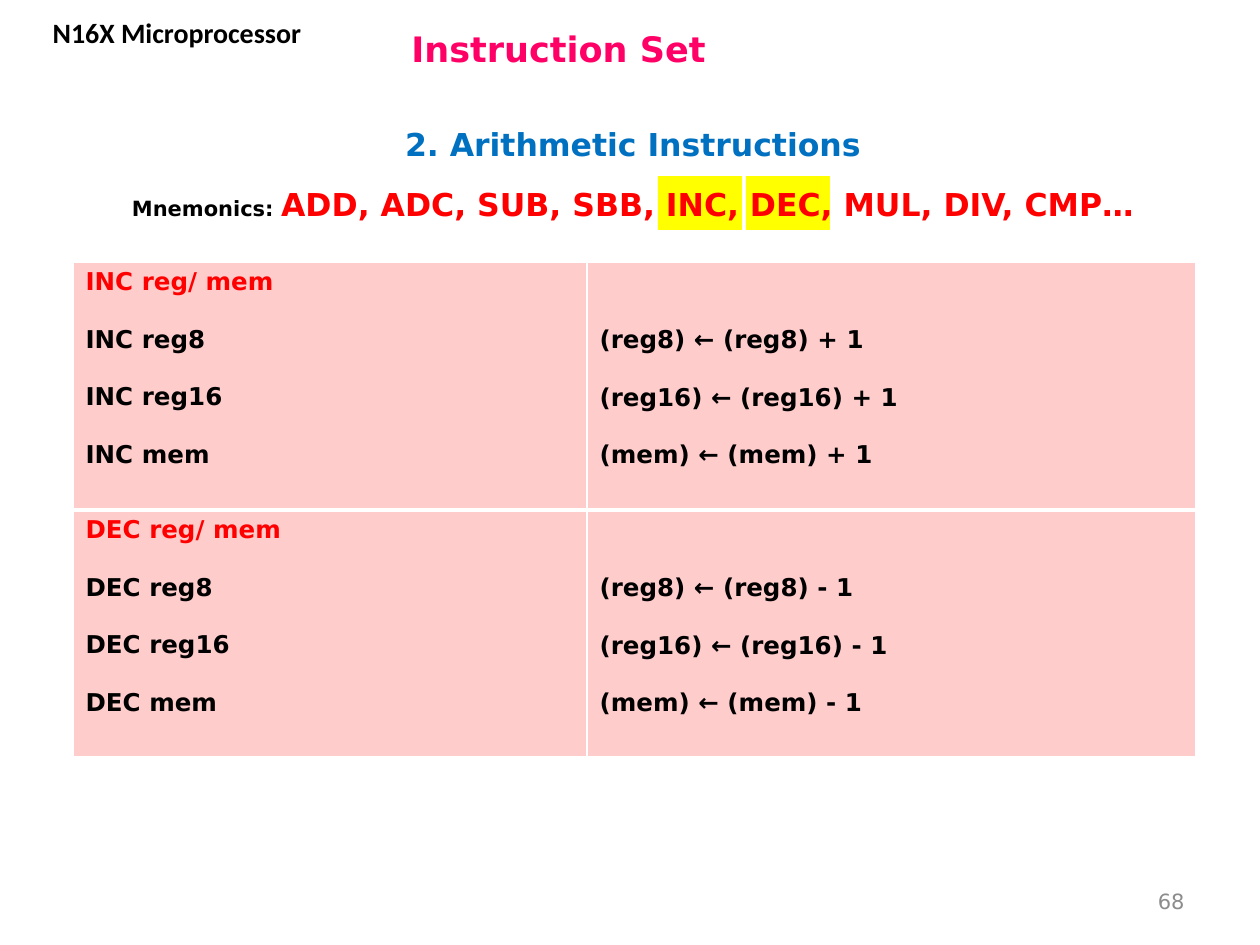
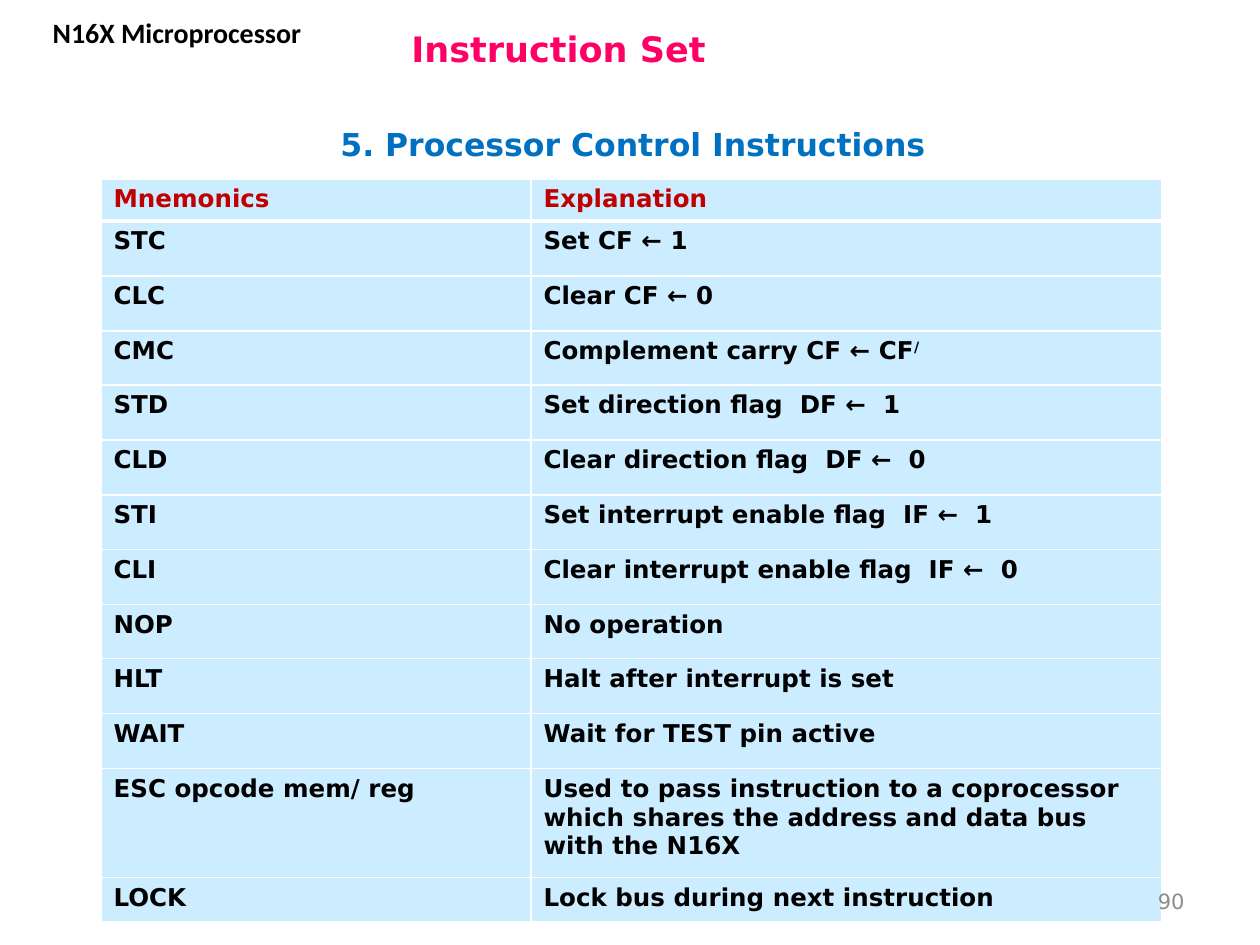
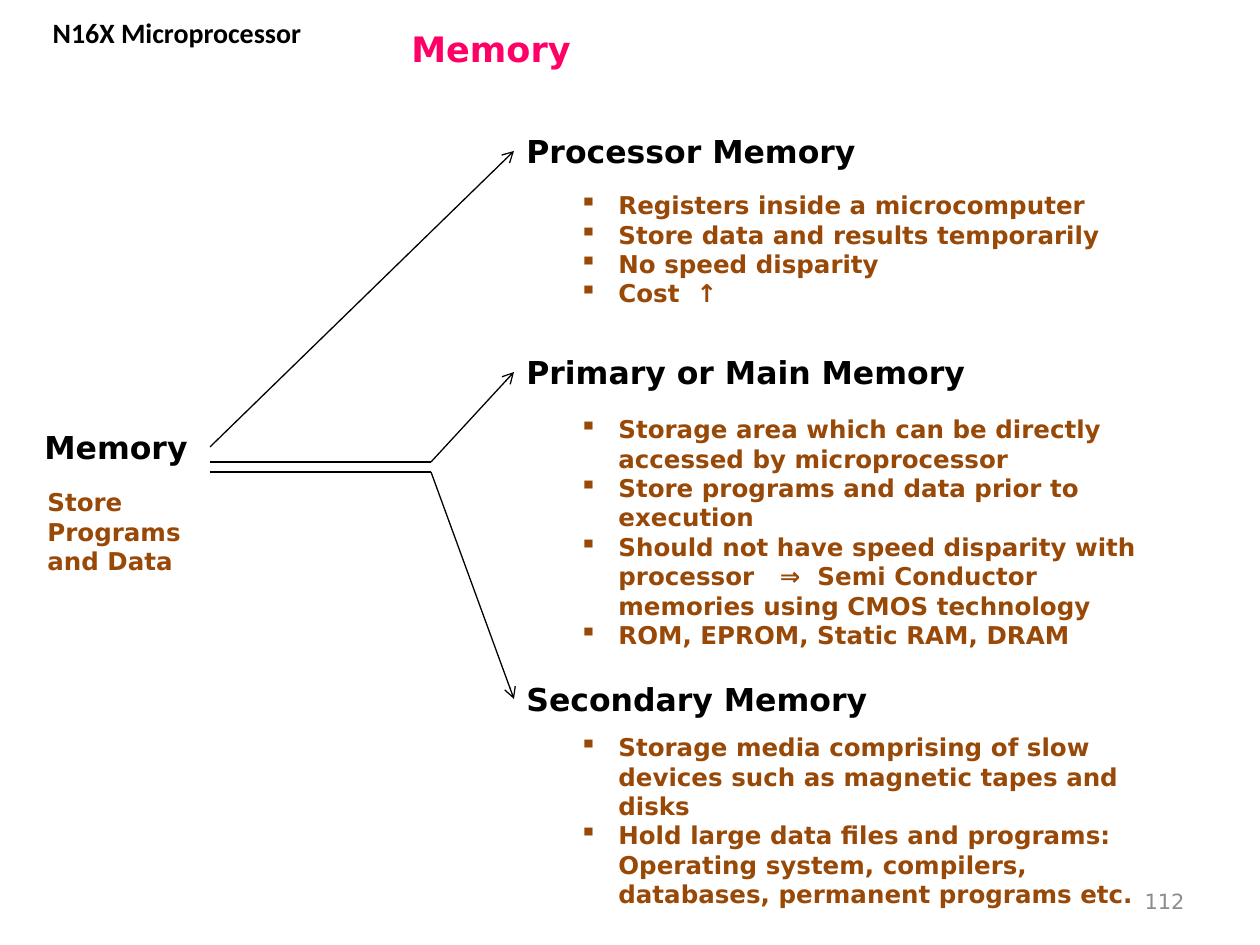
"""Build three lecture slides on the N16X instruction set and memory."""
from lxml.etree import SubElement
from pptx import Presentation
from pptx.dml.color import RGBColor
from pptx.enum.shapes import MSO_CONNECTOR, MSO_SHAPE
from pptx.enum.text import MSO_ANCHOR, PP_ALIGN
from pptx.oxml.ns import qn
from pptx.util import Emu, Pt

PX_PER_INCH = 126
FONT = "DejaVu Sans"
HEADER_FONT = "Calibri"
BLACK, WHITE, RED, YELLOW = "000000", "FFFFFF", "FF0000", "FFFF00"
PINK, BLUE, GREY, BROWN = "FF0066", "0070C0", "8C8C8C", "984807"
DARK_RED, ROSE, SKY = "C00000", "FFCCCC", "CCECFF"
LINE_GAP = 16.4
INSET = 6
BULLET_INDENT = 39

INCREMENTS = [("INC", "+"), ("DEC", "-")]
OPERANDS = ["reg8", "reg16", "mem"]
CONTROL_ROWS = [
    ("Mnemonics", "Explanation"),
    ("STC", "Set CF ← 1"),
    ("CLC", "Clear CF ← 0"),
    ("CMC", "Complement carry CF ← CF"),
    ("STD", "Set direction flag  DF ←  1"),
    ("CLD", "Clear direction flag  DF ←  0"),
    ("STI", "Set interrupt enable flag  IF ←  1"),
    ("CLI", "Clear interrupt enable flag  IF ←  0"),
    ("NOP", "No operation"),
    ("HLT", "Halt after interrupt is set"),
    ("WAIT", "Wait for TEST pin active"),
    ("ESC opcode mem/ reg", "Used to pass instruction to a coprocessor which "
     "shares the address and data bus with the N16X"),
    ("LOCK", "Lock bus during next instruction"),
]
MEMORY_KINDS = [
    ("Processor Memory", (514, 126, 357, 50), (567, 184, 588, 131), [
        "Registers inside a microcomputer",
        "Store data and results temporarily",
        "No speed disparity",
        "Cost  ↑"]),
    ("Primary or Main Memory", (514, 347, 465, 50), (567, 408, 588, 251), [
        "Storage area which can be directly accessed by microprocessor",
        "Store programs and data prior to execution",
        "Should not have speed disparity with processor   ⇒  "
        "Semi Conductor memories using CMOS technology",
        "ROM, EPROM, Static RAM, DRAM"]),
    ("Secondary Memory", (514, 674, 367, 50), (567, 726, 588, 190), [
        "Storage media comprising of slow devices such as magnetic tapes and disks",
        "Hold large data files and programs: Operating system, compilers, "
        "databases, permanent programs etc."]),
]
MEMORY_LINES = [
    ((210, 447), (514, 151), True),
    ((431, 462), (514, 372), True),
    ((210, 462), (431, 462), False),
    ((210, 472), (431, 472), False),
    ((431, 472), (514, 699), True),
]


def px(n):
    """Turn pixels into EMU."""
    return Emu(round(n * 914400 / PX_PER_INCH))


def rgb(value):
    """Turn a hex string into a colour."""
    return RGBColor.from_string(value)


def style_run(r, size, color, bold=True, font=FONT):
    """Format one run."""
    r.font.size = Pt(size)
    r.font.color.rgb = rgb(color)
    r.font.bold = bold
    r.font.name = font


def add_run(p, text, size, color):
    """Append a formatted run to a paragraph and return it."""
    r = p.add_run()
    r.text = text
    style_run(r, size, color)
    return r


def set_lines(tf, lines, size, color, **style):
    """Fill a text frame with one paragraph per line."""
    tf.text = "\n".join(lines)
    for p in tf.paragraphs:
        for r in p.runs:
            style_run(r, size, color, **style)


def add_text(s, box, lines, size, color, align=PP_ALIGN.LEFT,
             anchor=MSO_ANCHOR.TOP, wrap=True, **style):
    """Add a text box and return its frame."""
    tf = s.shapes.add_textbox(*map(px, box)).text_frame
    tf.word_wrap = wrap
    tf.vertical_anchor = anchor
    set_lines(tf, lines, size, color, **style)
    for p in tf.paragraphs:
        p.alignment = align
    return tf


def add_bullets(s, box, items):
    """Add a list with square bullets."""
    tf = add_text(s, box, items, 14, BROWN)
    for p in tf.paragraphs:
        pPr = p._p.get_or_add_pPr()
        pPr.set("marL", str(px(BULLET_INDENT)))
        pPr.set("indent", str(-px(BULLET_INDENT)))
        SubElement(pPr, qn("a:buChar")).set("char", "▪")


def add_highlight(s, box):
    """Add a yellow marker block."""
    sp = s.shapes.add_shape(MSO_SHAPE.RECTANGLE, *map(px, box))
    sp.shadow.inherit = False
    sp.fill.solid()
    sp.fill.fore_color.rgb = rgb(YELLOW)
    sp.line.fill.background()


def add_line(s, start, end, arrow):
    """Add a thin black line, with an open arrowhead if asked."""
    cx = s.shapes.add_connector(MSO_CONNECTOR.STRAIGHT, *map(px, start + end))
    cx.line.color.rgb = rgb(BLACK)
    cx.line.width = Pt(0.75)
    spPr = cx._element.spPr
    if arrow:
        SubElement(spPr.find(qn("a:ln")), qn("a:tailEnd")).set("type", "arrow")
    SubElement(spPr, qn("a:effectLst"))


def set_borders(cell, top, bottom):
    """Give a cell white borders, widths in points."""
    tcPr = cell._tc.get_or_add_tcPr()
    for side, width in (("L", 1), ("R", 1), ("T", top), ("B", bottom)):
        ln = SubElement(tcPr, qn(f"a:ln{side}"), w=str(Pt(width)))
        SubElement(SubElement(ln, qn("a:solidFill")), qn("a:srgbClr")).set("val", WHITE)


def add_table(s, left, top, widths, heights, fill):
    """Add a filled table, with a thick rule under its first row."""
    box = (left, top, sum(widths), sum(heights))
    table = s.shapes.add_table(len(heights), len(widths), *map(px, box)).table
    table.horz_banding = False
    for column, width in zip(table.columns, widths):
        column.width = px(width)
    for i, height in enumerate(heights):
        table.rows[i].height = px(height)
        for cell in table.rows[i].cells:
            set_borders(cell, 3 if i == 1 else 1, 3 if i == 0 else 1)
            cell.fill.solid()
            cell.fill.fore_color.rgb = rgb(fill)
            cell.margin_top = px(INSET)
    return table


def add_frame(s, title, number):
    """Add the title, page number and running header."""
    add_text(s, (399, 15, 829, 67), [title], 20, PINK, anchor=MSO_ANCHOR.MIDDLE)
    add_text(s, (903, 876, 294, 50), [number], 12, GREY, PP_ALIGN.RIGHT,
             MSO_ANCHOR.MIDDLE, bold=False)
    add_text(s, (9, 9, 336, 81), ["N16X Microprocessor"], 16, BLACK,
             PP_ALIGN.CENTER, font=HEADER_FONT)


def add_section(s, text):
    """Add the blue section heading."""
    add_text(s, (37, 117, 1192, 54), [text], 18, BLUE, PP_ALIGN.CENTER, MSO_ANCHOR.MIDDLE)


def build_arithmetic(s):
    """Build the slide on INC and DEC."""
    for i in range(2):
        add_highlight(s, (658 + 88 * i, 176, 84, 54))
    add_section(s, "2. Arithmetic Instructions")
    p = add_text(s, (37, 179, 1192, 50), ["Mnemonics: "], 12, BLACK,
                 PP_ALIGN.CENTER).paragraphs[0]
    add_run(p, "ADD, ADC, SUB, SBB, INC, DEC, MUL, DIV, CMP…", 18, RED)
    table = add_table(s, 73, 262, [514, 609], [248, 247], ROSE)
    for i, (name, sign) in enumerate(INCREMENTS):
        forms, effects = table.rows[i].cells
        set_lines(forms.text_frame, [f"{name} reg/ mem"] + [f"{name} {o}" for o in OPERANDS],
                  14, BLACK)
        forms.text_frame.paragraphs[0].runs[0].font.color.rgb = rgb(RED)
        set_lines(effects.text_frame, [f"({o}) ← ({o}) {sign} 1" for o in OPERANDS], 14, BLACK)
        effects.margin_top = px(INSET + 58)
        for cell in (forms, effects):
            for p in cell.text_frame.paragraphs[1:]:
                p.space_before = Pt(LINE_GAP)
    add_frame(s, "Instruction Set", "68")


def build_control(s):
    """Build the slide on processor control."""
    heights = [42] + [55, 55, 54, 55, 55] * 2 + [109, 44]
    table = add_table(s, 101, 179, [430, 631], heights, SKY)
    for i, texts in enumerate(CONTROL_ROWS):
        for cell, text in zip(table.rows[i].cells, texts):
            set_lines(cell.text_frame, [text], 14, BLACK if i else DARK_RED)
    r = add_run(table.cell(3, 1).text_frame.paragraphs[0], "/", 14, BLACK)
    r._r.get_or_add_rPr().set("baseline", "30000")
    add_section(s, "5. Processor Control Instructions")
    add_frame(s, "Instruction Set", "90")


def build_memory(s):
    """Build the slide on kinds of memory."""
    add_frame(s, "Memory", "112")
    add_text(s, (32, 422, 179, 50), ["Memory"], 18, BLACK)
    add_text(s, (35, 481, 188, 102), ["Store Programs and Data"], 14, BROWN)
    for name, name_box, list_box, items in MEMORY_KINDS:
        add_text(s, name_box, [name], 18, BLACK, wrap=False)
        add_bullets(s, list_box, items)
    for start, end, arrow in MEMORY_LINES:
        add_line(s, start, end, arrow)


def main():
    """Build and save the slides."""
    prs = Presentation()
    prs.slide_width, prs.slide_height = px(1260), px(945)
    for build in (build_arithmetic, build_control, build_memory):
        build(prs.slides.add_slide(prs.slide_layouts[6]))
    prs.save("out.pptx")


if __name__ == "__main__":
    main()
